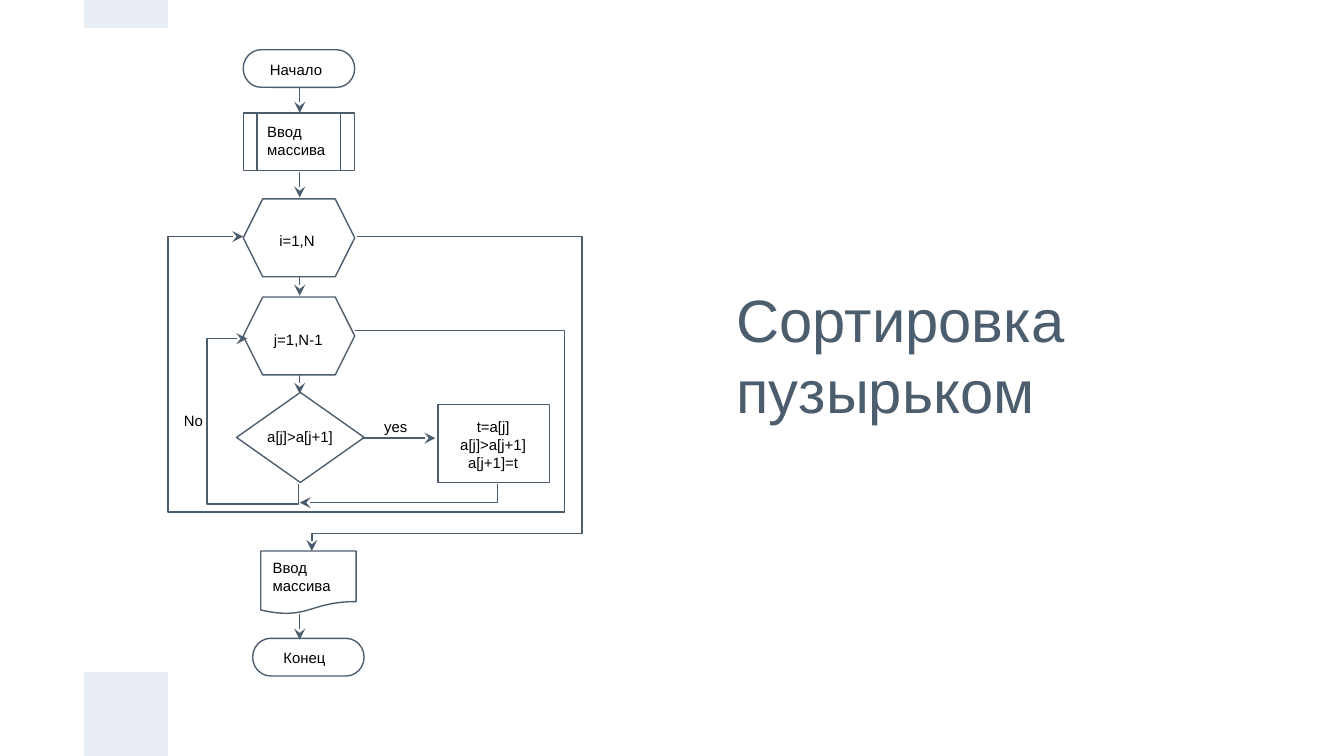
import pptx
import pptx.util
import pptx.dml.color
import pptx.enum.shapes
import pptx.enum.text
import pptx.oxml
import pptx.oxml.ns

KIND = pptx.enum.shapes.MSO_SHAPE
ALIGN = pptx.enum.text.PP_ALIGN
ANCHOR = pptx.enum.text.MSO_ANCHOR
INCH = pptx.util.Inches

WIDTH = 10
HEIGHT = WIDTH * 9 / 16
SLATE, PALE, BLACK = "4C5D6E", "E9EDF4", "000000"
FONT = "Arial"
SPINE = 2.23
BLOCK = 0.83
LEFT = 1.81
BAND = WIDTH / 16

TITLE = "Сортировка пузырьком"
BANDS = [(0, BAND / 3), (HEIGHT - BAND, BAND)]

BLOCKS = [
    (KIND.FLOWCHART_TERMINATOR, LEFT, 0.37, BLOCK, 0.28),
    (KIND.FLOWCHART_PREDEFINED_PROCESS, LEFT, 0.84, BLOCK, 0.43),
    (KIND.HEXAGON, LEFT, 1.48, BLOCK, 0.58),
    (KIND.HEXAGON, LEFT, 2.21, BLOCK, 0.58),
    (KIND.DIAMOND, 1.76, 2.92, 0.95, 0.67),
    (KIND.RECTANGLE, 3.26, 3.01, BLOCK, 0.58),
    (KIND.FLOWCHART_DOCUMENT, 1.94, 4.1, 0.71, 0.47),
    (KIND.FLOWCHART_TERMINATOR, 1.88, 4.75, BLOCK, 0.28),
]

LABELS = [
    ("Начало", 1.91, 0.35, 0.68, 0.23, ALIGN.LEFT),
    ("Ввод массива", 1.89, 0.81, 0.76, 0.43, ALIGN.LEFT),
    ("i=1,N", 1.98, 1.62, 0.55, 0.43, ALIGN.LEFT),
    ("j=1,N-1", 1.94, 2.36, 0.76, 0.43, ALIGN.LEFT),
    ("a[j]>a[j+1]", 1.89, 3.08, 0.76, 0.43, ALIGN.LEFT),
    ("t=a[j]\na[j]>a[j+1]\na[j+1]=t", 3.29, 3.01, 0.76, 0.5, ALIGN.CENTER),
    ("Ввод массива", 1.93, 4.06, 0.83, 0.43, ALIGN.LEFT),
    ("Конец", 2.01, 4.73, 0.83, 0.43, ALIGN.LEFT),
    ("yes", 2.76, 3.01, 0.76, 0.19, ALIGN.LEFT),
    ("No", 1.27, 2.96, 0.38, 0.28, ALIGN.LEFT),
]

SPINE_STEPS = [(0.65, 0.84), (1.28, 1.47), (2.06, 2.2), (2.78, 2.93), (4.57, 4.76)]
ARROWS = [((SPINE, y1), (SPINE, y2)) for y1, y2 in SPINE_STEPS]
ARROWS.append(((2.69, 3.26), (3.24, 3.26)))

ROUTES = [
    [(3.7, 3.6), (3.7, 3.74), (SPINE, 3.74)],
    [(2.22, 3.6), (2.22, 3.75), (1.54, 3.75), (1.54, 2.52), (1.84, 2.52)],
    [(2.64, 2.46), (4.2, 2.46), (4.2, 3.81), (1.25, 3.81), (1.25, 1.76), (LEFT, 1.76)],
    [(2.66, 1.76), (4.33, 1.76), (4.33, 3.97), (2.32, 3.97), (2.32, 4.1)],
]


def rgb(color):
    return pptx.dml.color.RGBColor.from_string(color)


def box(*lengths):
    return [INCH(v) for v in lengths]


def outline(shape):
    shape.line.color.rgb = rgb(SLATE)
    shape.line.width = pptx.util.Pt(0.75)


def add_arrowhead(shape):
    ln = shape._element.spPr.find(pptx.oxml.ns.qn("a:ln"))
    ns = pptx.oxml.ns.nsdecls("a")
    ln.append(pptx.oxml.parse_xml(f'<a:tailEnd {ns} type="stealth"/>'))


def format_text(tf, size, color, align):
    tf.word_wrap = True
    tf.auto_size = pptx.enum.text.MSO_AUTO_SIZE.NONE
    tf.margin_left = tf.margin_right = tf.margin_top = tf.margin_bottom = INCH(0.1)
    for p in tf.paragraphs:
        p.alignment = align
        for r in p.runs:
            r.font.name = FONT
            r.font.size = pptx.util.Pt(size)
            r.font.color.rgb = rgb(color)


def add_band(s, top, height):
    sp = s.shapes.add_shape(KIND.RECTANGLE, *box(BAND, top, BAND, height))
    sp.shadow.inherit = False
    sp.fill.solid()
    sp.fill.fore_color.rgb = rgb(PALE)
    sp.line.fill.background()


def add_block(s, kind, *place):
    sp = s.shapes.add_shape(kind, *box(*place))
    sp.shadow.inherit = False
    sp.fill.background()
    outline(sp)


def add_label(s, text, left, top, width, height, align):
    sp = s.shapes.add_textbox(*box(left, top, width, height))
    sp.text_frame.text = text
    format_text(sp.text_frame, 8, BLACK, align)


def add_arrow(s, start, end):
    sp = s.shapes.add_connector(pptx.enum.shapes.MSO_CONNECTOR.STRAIGHT, *box(*start, *end))
    outline(sp)
    add_arrowhead(sp)
    ns = pptx.oxml.ns.nsdecls("a")
    sp._element.spPr.append(pptx.oxml.parse_xml(f"<a:effectLst {ns}/>"))


def add_route(s, points):
    corners = [box(*point) for point in points]
    builder = s.shapes.build_freeform(*corners[0])
    builder.add_line_segments(corners[1:], close=False)
    sp = builder.convert_to_shape()
    sp.shadow.inherit = False
    sp.fill.background()
    outline(sp)
    add_arrowhead(sp)


def add_title(s):
    sp = s.shapes.title
    sp.left, sp.top, sp.width, sp.height = box(5.38, 1.23, 2.96, 2.81)
    tf = sp.text_frame
    tf.text = TITLE
    tf.vertical_anchor = ANCHOR.MIDDLE
    format_text(tf, 32, SLATE, ALIGN.LEFT)


def main():
    prs = pptx.Presentation()
    prs.slide_width, prs.slide_height = box(WIDTH, HEIGHT)
    s = prs.slides.add_slide(prs.slide_layouts.get_by_name("Title Only"))
    add_title(s)
    for band in BANDS:
        add_band(s, *band)
    for block in BLOCKS:
        add_block(s, *block)
    for label in LABELS:
        add_label(s, *label)
    for arrow in ARROWS:
        add_arrow(s, *arrow)
    for route in ROUTES:
        add_route(s, route)
    prs.save("out.pptx")


if __name__ == "__main__":
    main()
